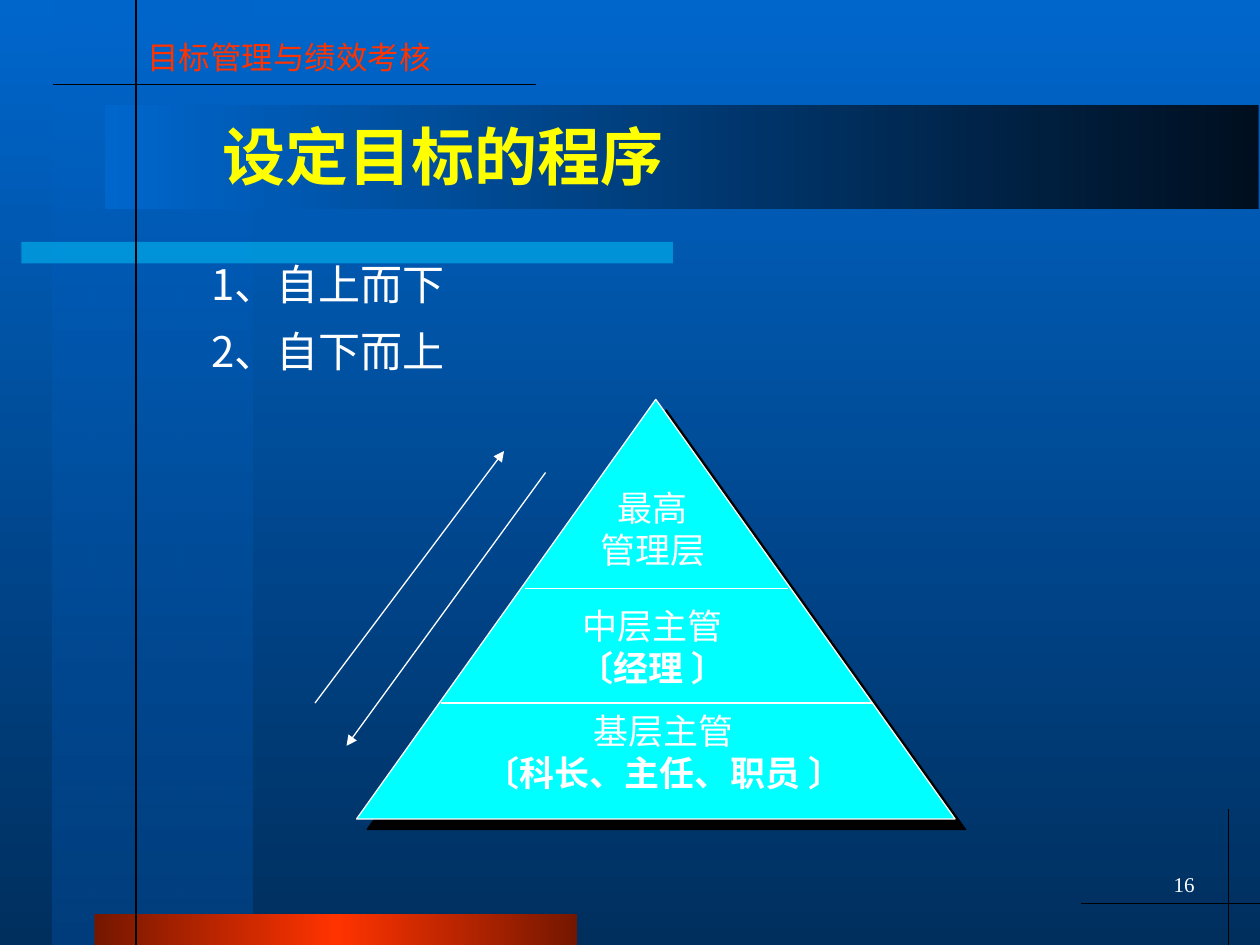
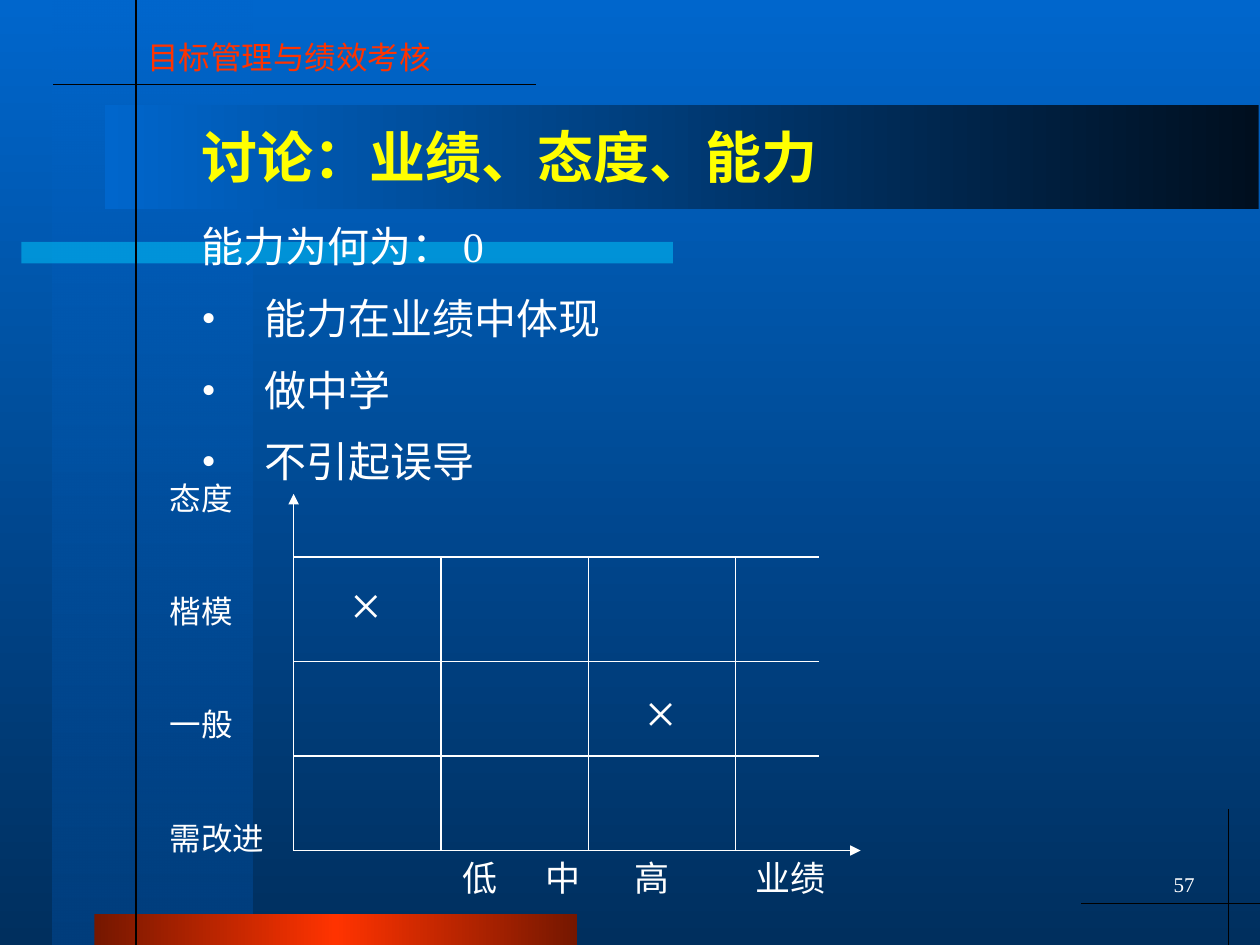
from dataclasses import dataclass

import pptx
import pptx.dml.color
import pptx.enum.dml
import pptx.enum.shapes
import pptx.enum.text
import pptx.oxml
import pptx.oxml.ns
import pptx.util
from lxml import etree

Inches = pptx.util.Inches
Pt = pptx.util.Pt
qn = pptx.oxml.ns.qn
ALIGN = pptx.enum.text.PP_ALIGN
SHAPE = pptx.enum.shapes.MSO_SHAPE


@dataclass(frozen=True)
class Theme:
    white: str = "FFFFFF"
    black: str = "000000"
    yellow: str = "FFFF00"
    red: str = "FF3300"
    dark_red: str = "751700"
    cyan: str = "00FFFF"
    sky: str = "00CCFF"
    blue: str = "0066CC"
    deep_blue: str = "002F5E"
    mid_blue: str = "003E7D"
    night: str = "000F1F"
    latin: str = "Times New Roman"
    cjk: str = "Noto Sans CJK SC"
    body: int = 24
    level: int = 20
    label: int = 18
    number: int = 12
    mark: int = 32
    line: float = 0.75


THEME = Theme()


def rgb(color):
    return pptx.dml.color.RGBColor.from_string(color)


def add_child(parent, tag, **attributes):
    child = etree.SubElement(parent, qn(tag))
    for key, value in attributes.items():
        child.set(key, str(value))
    return child


def set_alpha(color_element, percent):
    add_child(color_element, "a:alpha", val=percent * 1000)


def paint_gradient(fill, holder, stops, angle):
    """Fill with (position, colour, opacity) stops, all in percent."""
    fill.gradient()
    gradient = next(holder.iter(qn("a:gradFill")))
    stop_list = gradient.find(qn("a:gsLst"))
    for old_stop in list(stop_list):
        stop_list.remove(old_stop)
    for position, color, opacity in stops:
        stop = add_child(stop_list, "a:gs", pos=position * 1000)
        color_element = add_child(stop, "a:srgbClr", val=color)
        if opacity < 100:
            set_alpha(color_element, opacity)
    gradient.find(qn("a:lin")).set("ang", str(angle * 60000))


def add_plain_shape(slide, kind, box):
    shape = slide.shapes.add_shape(kind, *map(Inches, box))
    shape.shadow.inherit = False
    shape.line.fill.background()
    return shape


def add_gradient_band(slide, box, stops, angle):
    band = add_plain_shape(slide, SHAPE.RECTANGLE, box)
    paint_gradient(band.fill, band._element.spPr, stops, angle)


def add_line(slide, start, end, color=THEME.white, arrow=False):
    line = slide.shapes.add_connector(
        pptx.enum.shapes.MSO_CONNECTOR.STRAIGHT, *map(Inches, start + end))
    line.line.color.rgb = rgb(color)
    line.line.width = Pt(THEME.line)
    if arrow:
        add_child(line.line._get_or_add_ln(), "a:tailEnd", type="triangle")
    add_child(line._element.spPr, "a:effectLst")


def add_text(slide, box, lines, size, color=THEME.white, font=THEME.latin,
             bold_lines=(), align=ALIGN.LEFT, wrap=True, gap=0, spacing=None):
    """Add a text box; gap is the space before each line after the first."""
    text_box = slide.shapes.add_textbox(*map(Inches, box))
    frame = text_box.text_frame
    frame.text = "\n".join(lines)
    frame.word_wrap = wrap
    frame.auto_size = pptx.enum.text.MSO_AUTO_SIZE.SHAPE_TO_FIT_TEXT
    for index, paragraph in enumerate(frame.paragraphs):
        paragraph.alignment = align
        if index and gap:
            paragraph.space_before = Pt(gap)
        if spacing:
            paragraph.line_spacing = spacing
        for run in paragraph.runs:
            run.font.size = Pt(size)
            run.font.name = font
            run.font.bold = index in bold_lines
            run.font.color.rgb = rgb(color)
            add_child(run.font._element, "a:ea", typeface=THEME.cjk)
    return frame


def set_hanging_bullets(paragraphs, indent):
    """Hang every paragraph, with a bullet on all but the first."""
    for index, paragraph in enumerate(paragraphs):
        properties = paragraph._p.get_or_add_pPr()
        properties.set("marL", str(Inches(indent)))
        properties.set("indent", str(-Inches(indent)))
        if index:
            bullet_color = add_child(properties, "a:buClr")
            add_child(bullet_color, "a:srgbClr", val=THEME.white)
            add_child(properties, "a:buFont", typeface=THEME.latin)
            add_child(properties, "a:buChar", char="•")


def set_tabs(paragraph, positions):
    tabs = add_child(paragraph._p.get_or_add_pPr(), "a:tabLst")
    for position in positions:
        add_child(tabs, "a:tab", pos=Inches(position), algn="l")


def add_base_slide(deck, number):
    """Add a slide with the background, bands, rules, header and number."""
    slide = deck.slides.add_slide(deck.slide_layouts[6])
    paint_gradient(slide.background.fill, slide._element,
                   [(0, THEME.blue, 100), (100, THEME.deep_blue, 100)], 90)
    add_gradient_band(slide, (0.42, 0, 1.58, 7.5),
                      [(0, THEME.blue, 50), (100, THEME.mid_blue, 100)], 90)
    accent = add_plain_shape(slide, SHAPE.RECTANGLE, (0.17, 1.92, 5.17, 0.17))
    accent.fill.solid()
    accent.fill.fore_color.rgb = rgb(THEME.sky)
    set_alpha(next(accent._element.spPr.iter(qn("a:srgbClr"))), 50)
    add_gradient_band(slide, (0.75, 7.25, 3.83, 0.25),
                      [(0, THEME.dark_red, 100), (50, THEME.red, 100),
                       (100, THEME.dark_red, 100)], 180)
    add_gradient_band(slide, (0.83, 0.83, 9.16, 0.83),
                      [(0, THEME.night, 100), (100, THEME.blue, 100)], 180)
    for start, end in (((1.08, 0), (1.08, 7.5)), ((9.75, 6.42), (9.75, 7.5)),
                       ((10, 7.17), (8.58, 7.17)), ((4.25, 0.67), (0.42, 0.67))):
        add_line(slide, start, end, THEME.black)
    page = add_text(slide, (6.33, 6.67, 3.25, 0.5), [str(number)],
                    THEME.number, align=ALIGN.RIGHT)
    page.auto_size = pptx.enum.text.MSO_AUTO_SIZE.NONE
    page.vertical_anchor = pptx.enum.text.MSO_ANCHOR.BOTTOM
    add_text(slide, (1.07, 0.25, 2.45, 0.4), ["目标管理与绩效考核"], THEME.label,
             THEME.red, align=ALIGN.CENTER, wrap=False)
    return slide


def add_title(slide, box, title, size):
    add_text(slide, box, [title], size, THEME.yellow, bold_lines=(0,))


def add_pyramid(slide):
    pyramid = add_plain_shape(slide, SHAPE.ISOSCELES_TRIANGLE,
                              (2.83, 3.17, 4.75, 3.33))
    pyramid.fill.solid()
    pyramid.fill.fore_color.rgb = rgb(THEME.cyan)
    pyramid.line.color.rgb = rgb(THEME.white)
    pyramid.line.width = Pt(THEME.line)
    effects = pyramid._element.spPr.find(qn("a:effectLst"))
    shadow = add_child(effects, "a:outerShdw", dist=Pt(8.5), dir=45 * 60000,
                       algn="ctr", rotWithShape=0)
    add_child(shadow, "a:srgbClr", val=THEME.black)

    for left, right, y in ((4.17, 6.25, 4.67), (3.5, 6.92, 5.58)):
        add_line(slide, (left, y), (right, y))
    levels = (((4.48, 3.81, 1.4, 0.77), ["最高", "管理层"], ()),
              ((4.28, 4.75, 1.8, 0.77), ["中层主管", "〔经理 〕"], (1,)),
              ((3.47, 5.58, 3.6, 0.77), ["基层主管", "〔科长、主任、职员 〕"], (1,)))
    for box, lines, bold_lines in levels:
        add_text(slide, box, lines, THEME.level, bold_lines=bold_lines,
                 align=ALIGN.CENTER)


def add_rating_grid(slide):
    left, bottom, top, right = 2.33, 6.75, 4.42, 6.5
    column = 1.17
    add_line(slide, (left, bottom), (left, 3.92), arrow=True)
    add_line(slide, (left, bottom), (6.83, bottom), arrow=True)
    for y in (6, 5.25, top):
        add_line(slide, (left, y), (right, y))
    for step in (1, 2, 3):
        x = left + step * column
        add_line(slide, (x, top), (x, bottom))

    performance = add_text(slide, (3.57, bottom, 3.09, 0.44),
                           ["低\t中\t高\t业绩"], THEME.level, font=THEME.cjk)
    set_tabs(performance.paragraphs[0], (0.66, 1.37, 2.33))
    add_text(slide, (1.25, 3.75, 0.95, 3.1), ["态度", "楷模", "一般", "需改进"],
             THEME.label, wrap=False, gap=43.2)
    for step, y in ((0, 4.47), (2, 5.33)):
        add_text(slide, (left + 0.35 + step * column, y, 0.45, 0.64), ["×"],
                 THEME.mark, wrap=False)


def build_procedure_slide(deck):
    slide = add_base_slide(deck, 16)
    add_title(slide, (1.67, 0.88, 7, 0.7), "设定目标的程序", 36)
    add_text(slide, (1.58, 2.08, 7.33, 0.95), ["1、自上而下", "2、自下而上"],
             THEME.body, font=THEME.cjk, gap=15, spacing=0.8)
    add_pyramid(slide)
    add_line(slide, (4.33, 3.75), (2.75, 5.92), arrow=True)
    add_line(slide, (2.5, 5.58), (4, 3.58), arrow=True)


def build_discussion_slide(deck):
    slide = add_base_slide(deck, 57)
    add_title(slide, (1.5, 0.92, 5.92, 0.64), "讨论：业绩、态度、能力", 32)
    reasons = add_text(slide, (1.5, 1.75, 7.58, 2.17),
                       ["能力为何为： 0", "能力在业绩中体现", "做中学", "不引起误导"],
                       THEME.body, gap=15, spacing=0.9)
    set_hanging_bullets(reasons.paragraphs, 0.5)
    add_rating_grid(slide)


def main():
    deck = pptx.Presentation()
    deck.slide_width = Inches(10)
    deck.slide_height = Inches(7.5)
    build_procedure_slide(deck)
    build_discussion_slide(deck)
    deck.save("out.pptx")


if __name__ == "__main__":
    main()
